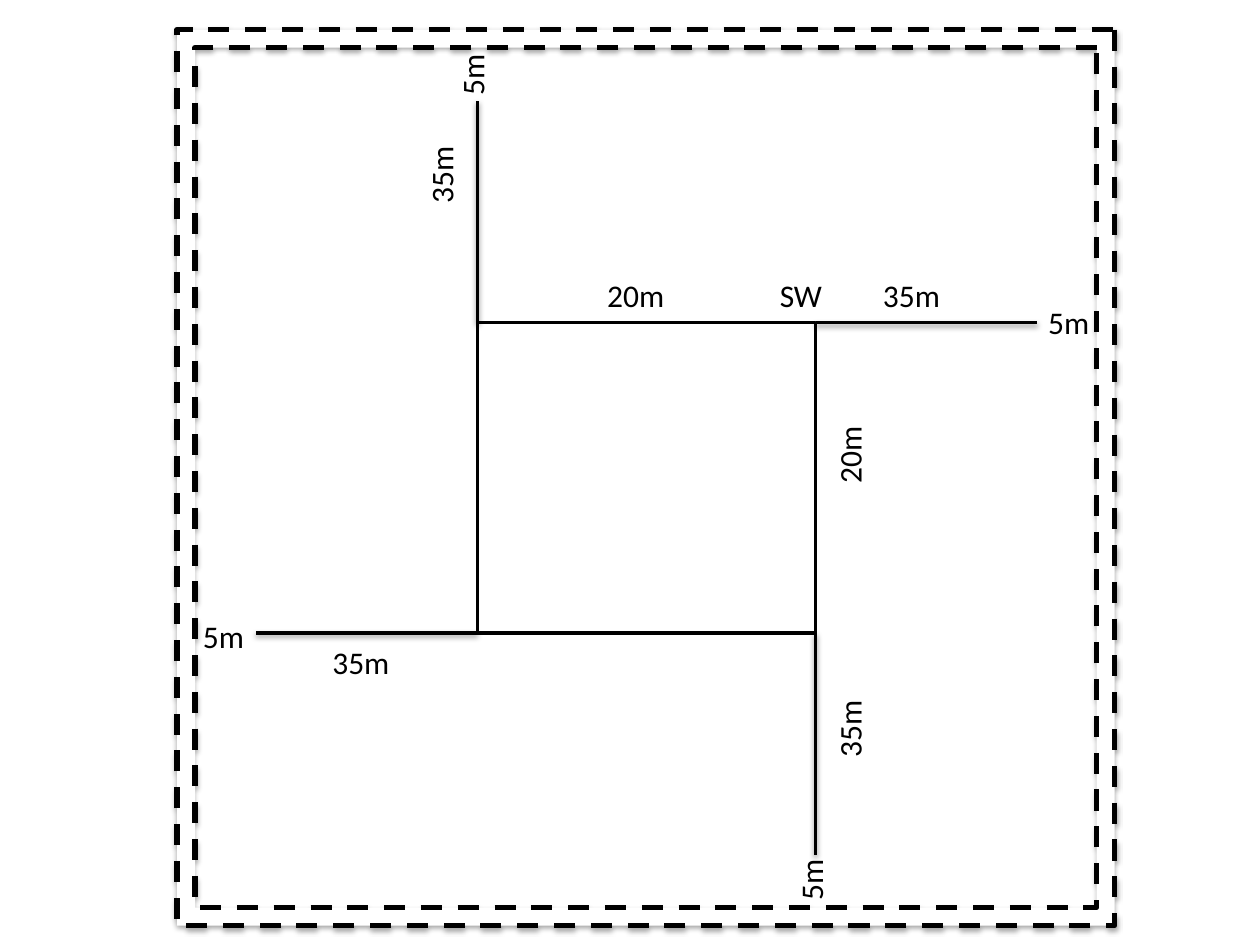
from lxml.etree import SubElement
from pptx import Presentation
from pptx.dml.color import RGBColor
from pptx.enum.dml import MSO_LINE
from pptx.enum.shapes import MSO_CONNECTOR, MSO_SHAPE
from pptx.enum.text import MSO_AUTO_SIZE
from pptx.oxml.ns import qn
from pptx.util import Cm, Pt


def color(hex_string):
    return RGBColor.from_string(hex_string)


class Plan:
    ink, paper = "000000", "FFFFFF"
    font = {"name": "Calibri", "size": Pt(18)}
    frame = {"auto_size": MSO_AUTO_SIZE.SHAPE_TO_FIT_TEXT, "word_wrap": False}
    label_height = 1.02

    def __init__(self, slide):
        self.s = slide

    def outline(self, sp, width, dash=None):
        sp.line.color.rgb = color(self.ink)
        for name, value in {"width": Pt(width), "dash_style": dash}.items():
            setattr(sp.line, name, value)

    def shadow(self, sp, opacity, distance):
        spPr = sp._element.spPr
        effects = spPr.find(qn("a:effectLst"))
        if effects is None:
            effects = SubElement(spPr, qn("a:effectLst"))
        shadow = SubElement(effects, qn("a:outerShdw"), {
            "blurRad": str(Pt(3.1)), "dist": str(Pt(distance)),
            "dir": "5400000", "rotWithShape": "0"})
        tint = SubElement(shadow, qn("a:srgbClr"), val=self.ink)
        SubElement(tint, qn("a:alpha"), val=str(opacity * 1000))

    def shape(self, kind, x, y, w, h, width, dash=None):
        sp = self.s.shapes.add_shape(kind, Cm(x), Cm(y), Cm(w), Cm(h))
        sp.shadow.inherit = False
        sp.fill.solid()
        sp.fill.fore_color.rgb = color(self.paper)
        self.outline(sp, width, dash)
        return sp

    def border(self, x, y, w, h):
        sp = self.shape(MSO_SHAPE.FRAME, x, y, w, h, 3, MSO_LINE.DASH)
        sp.adjustments[0] = 0.02
        sp.rotation = 90
        self.shadow(sp, 35, 1.8)

    def arm(self, x, y, dx, dy):
        sp = self.s.shapes.add_connector(
            MSO_CONNECTOR.STRAIGHT, Cm(x), Cm(y), Cm(x + dx), Cm(y + dy))
        self.outline(sp, 2)
        self.shadow(sp, 38, 1.6)

    def label(self, text, x, y, w, rotation=0):
        sp = self.s.shapes.add_textbox(Cm(x), Cm(y), Cm(w), Cm(self.label_height))
        sp.rotation = rotation
        tf = sp.text_frame
        for name, value in self.frame.items():
            setattr(tf, name, value)
        r = tf.paragraphs[0].add_run()
        r.text = text
        for name, value in self.font.items():
            setattr(r.font, name, value)
        r.font.color.rgb = color(self.ink)


def main():
    prs = Presentation()
    prs.slide_width, prs.slide_height = Cm(25.4), Cm(19.05)
    plan = Plan(prs.slides.add_slide(prs.slide_layouts[6]))

    left, top, width, height = 9.63, 6.5, 6.81, 6.26
    right, bottom = left + width, top + height
    reach = 4.47
    plan.shape(MSO_SHAPE.RECTANGLE, left, top, width, height, 2)
    for x, y, dx, dy in [(right, top, 1, 0), (right, bottom, 0, 1),
                         (left, top, 0, -1), (left, bottom, -1, 0)]:
        plan.arm(x, y, dx * reach, dy * reach)
    plan.border(3.99, 0.18, 18.06, 18.9)

    long, short = 1.68, 1.35
    above, beside = 5.44, 16.28
    for text, x, y, w, rotation in [
        ("20m", 11.99, above, long, 0),
        ("20m", beside, 8.64, long, 270),
        ("35m", 17.55, above, long, 0),
        ("35m", 8.05, 3, long, 270),
        ("35m", 6.45, 12.83, long, 0),
        ("35m", beside, 14.17, long, 270),
        ("5m", 20.88, 5.99, short, 0),
        ("5m", 15.67, 17.22, short, 270),
        ("5m", 3.84, 12.32, short, 0),
        ("5m", 8.84, 0.99, short, 270),
        ("SW", 15.47, above, 1.37, 0),
    ]:
        plan.label(text, x, y, w, rotation)

    prs.save("out.pptx")


if __name__ == "__main__":
    main()
